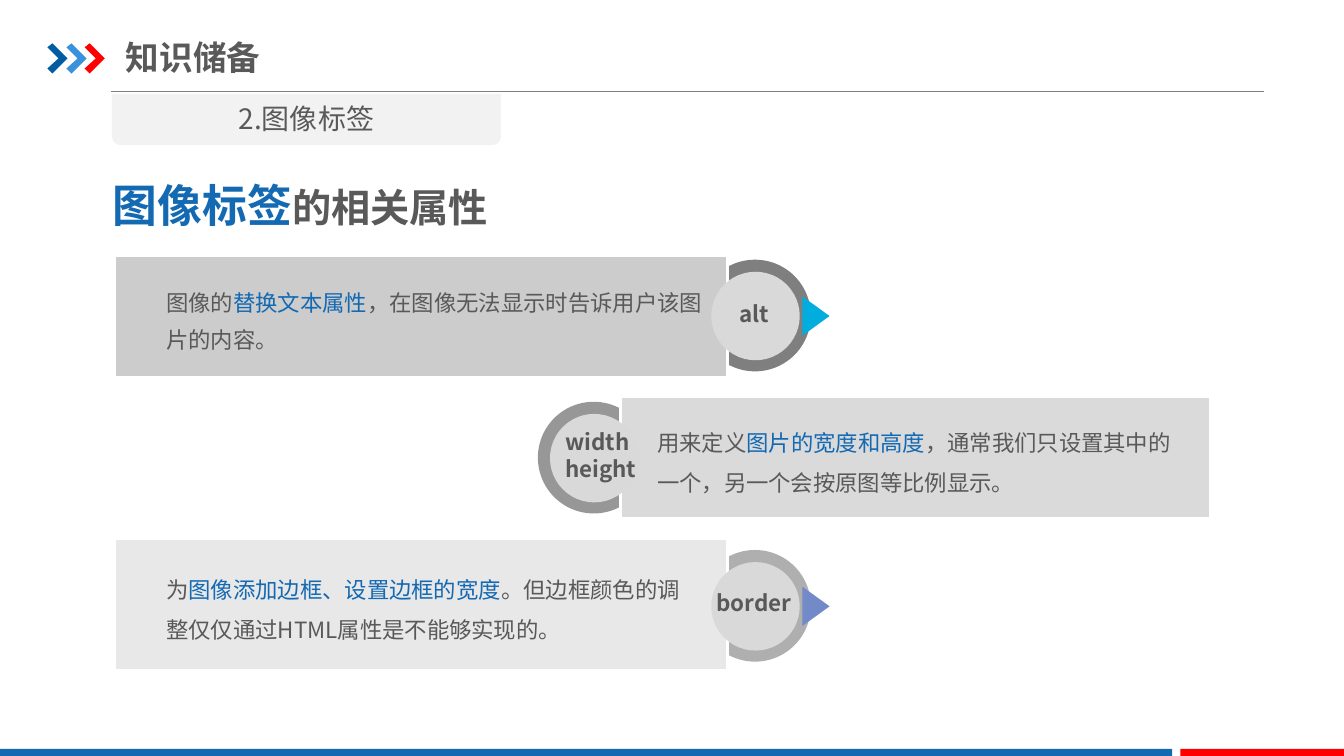
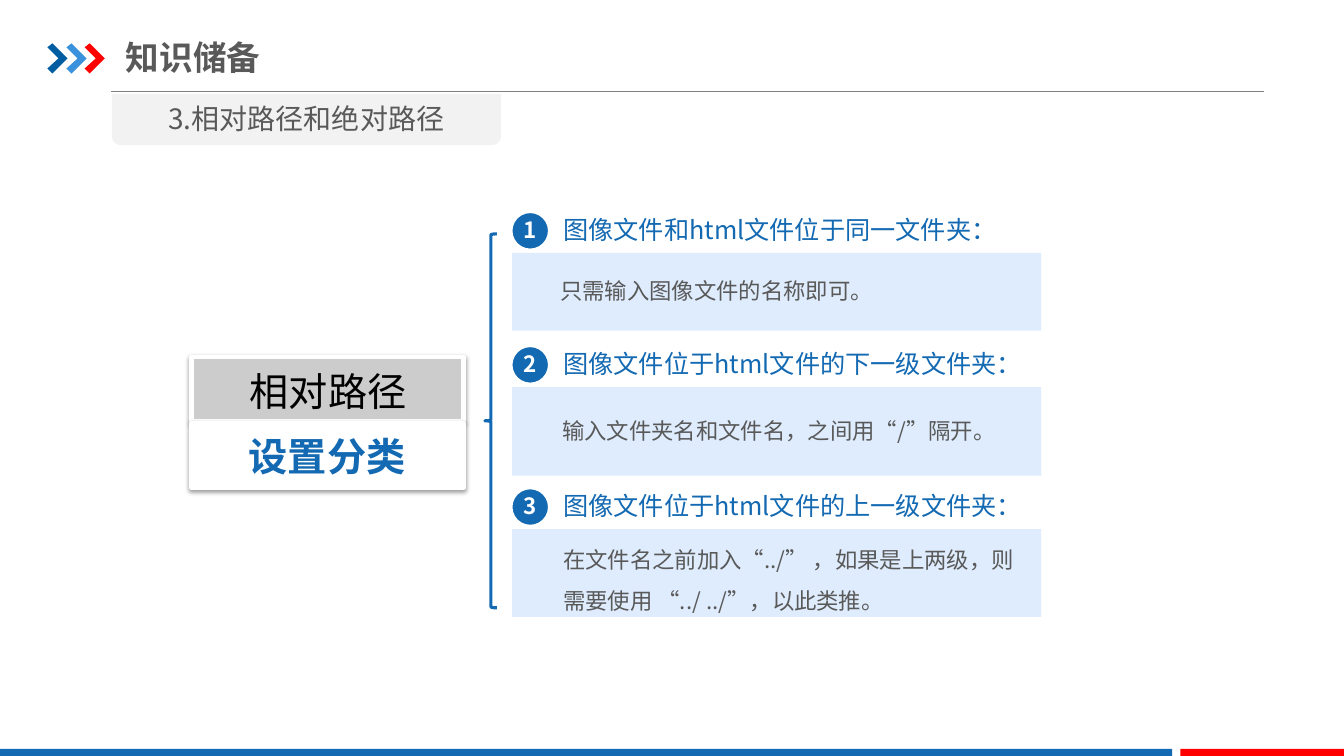
import lxml.etree
import pptx
import pptx.dml.color
import pptx.enum.shapes
import pptx.enum.text
import pptx.oxml.ns
import pptx.util

PX = 9144
FONT = "Noto Sans CJK SC"
COLORS = {
    "blue": "1369B2", "navy": "005DA2", "sky": "3992DB", "red": "FF0000",
    "text": "595959", "black": "000000", "white": "FFFFFF", "rule": "808080",
    "tab": "F2F2F2", "disc": "D9D9D9", "pale": "DBEBFD", "label": "CCCCCC",
    "alt_ring": "7F7F7F", "alt_panel": "CCCCCC", "alt_arrow": "00ADDC",
    "size_ring": "979797", "size_panel": "DADADA",
    "border_ring": "AFAFAF", "border_panel": "E8E8E8", "border_arrow": "738AC8",
}
RGB = {name: pptx.dml.color.RGBColor.from_string(code) for name, code in COLORS.items()}
SHAPE = pptx.enum.shapes.MSO_SHAPE
ALIGN = pptx.enum.text.PP_ALIGN
ANCHOR = pptx.enum.text.MSO_ANCHOR
qn = pptx.oxml.ns.qn


def add_shape(slide, kind, box, fill=None, line=None, width=2, alpha=None):
    shape = slide.shapes.add_shape(kind, *[value * PX for value in box])
    shape.shadow.inherit = False
    if fill:
        shape.fill.solid()
        shape.fill.fore_color.rgb = RGB[fill]
    else:
        shape.fill.background()
    if line:
        shape.line.color.rgb = RGB[line]
        shape.line.width = pptx.util.Pt(width)
    else:
        shape.line.fill.background()
    if alpha:
        for color in shape._element.spPr.iter(qn("a:srgbClr")):
            lxml.etree.SubElement(color, qn("a:alpha"), val=str(alpha * 1000))
    return shape


def write(shape, paragraphs, size, align=ALIGN.LEFT, spacing=None, wrap=True, bold=False):
    frame = shape.text_frame
    frame.word_wrap = wrap
    for index, runs in enumerate(paragraphs):
        paragraph = frame.add_paragraph() if index else frame.paragraphs[0]
        paragraph.alignment = align
        if spacing:
            paragraph.line_spacing = spacing
        for text, color in runs:
            run = paragraph.add_run()
            run.text = text
            run.font.name = FONT
            run.font.size = pptx.util.Pt(size)
            run.font.bold = bold
            run.font.color.rgb = RGB[color]
            lxml.etree.SubElement(run._r.get_or_add_rPr(), qn("a:ea"), typeface=FONT)
    return frame


presentation = pptx.Presentation()
presentation.slide_width = pptx.util.Emu(12192000)
presentation.slide_height = pptx.util.Emu(750 * PX)

slides = []
for heading in ("2.图像标签", "3.相对路径和绝对路径"):
    slide = presentation.slides.add_slide(presentation.slide_layouts[6])
    slides.append(slide)
    rule = slide.shapes.add_connector(
        pptx.enum.shapes.MSO_CONNECTOR.STRAIGHT, 110 * PX, 91 * PX, 1254 * PX, 91 * PX)
    rule.line.color.rgb = RGB["rule"]
    rule.line.width = pptx.util.Pt(0.75)
    lxml.etree.SubElement(rule._element.spPr, qn("a:effectLst"))
    for left, color in ((47, "navy"), (66, "sky"), (84, "red")):
        builder = slide.shapes.build_freeform(left, 47, scale=PX)
        builder.add_line_segments(
            [(left + x, y) for x, y in ((5, 43), (20, 58), (5, 73), (0, 68), (11, 58))])
        chevron = builder.convert_to_shape()
        chevron.shadow.inherit = False
        chevron.fill.solid()
        chevron.fill.fore_color.rgb = RGB[color]
        chevron.line.fill.background()
    add_shape(slide, SHAPE.RECTANGLE, (0, 743, 1163, 9), "blue")
    add_shape(slide, SHAPE.RECTANGLE, (1171, 743, 163, 9), "red")
    title = slide.shapes.add_textbox(125 * PX, 29 * PX, 426 * PX, 55 * PX)
    frame = write(title, [[("知识储备", "text")]], 24, bold=True)
    frame.vertical_anchor = ANCHOR.MIDDLE
    frame.margin_left = frame.margin_right = 0
    tab = add_shape(slide, SHAPE.ROUND_2_SAME_RECTANGLE, (111, 93, 386, 51), "tab")
    tab.rotation = 180
    subtitle = slide.shapes.add_textbox(111 * PX, 96 * PX, 386 * PX, 44 * PX)
    write(subtitle, [[(heading, "text")]], 20, ALIGN.CENTER)

slide = slides[0]
topic = slide.shapes.add_textbox(102 * PX, 171 * PX, 396 * PX, 64 * PX)
frame = write(topic, [[("图像标签", "blue"), ("的相关属性", "text")]], 32, wrap=False, bold=True)
frame.paragraphs[0].runs[1].font.size = pptx.util.Pt(28)

cards = [
    ("alt", (695, 259), (114, 254, 608, 120), ["alt"], (724, 293, 70, 37),
     (155, 273, 562, 83), 1.35,
     ("图像的", "替换文本属性", "，在图像无法显示时告诉用户该图片的内容。")),
    ("size", (535, 400), (616, 393, 585, 121), ["width", "height"], (551, 420, 100, 64),
     (642, 407, 545, 91), 1.5,
     ("用来定义", "图片的宽度和高度", "，通常我们只设置其中的一个，另一个会按原图等比例显示。")),
    ("border", (695, 547), (114, 534, 608, 131), ["border"], (701, 580, 104, 37),
     (155, 553, 538, 91), 1.5,
     ("为", "图像添加边框、设置边框的宽度", "。但边框颜色的调整仅仅通过HTML属性是不能够实现的。")),
]
for name, (left, top), panel, labels, label_box, body_box, spacing, parts in cards:
    ring = add_shape(slide, SHAPE.DONUT, (left, top, 108, 108), name + "_ring", name + "_ring")
    ring.adjustments[0] = 0.11
    add_shape(slide, SHAPE.RECTANGLE, panel, name + "_panel", "white")
    add_shape(slide, SHAPE.OVAL, (left + 12, top + 12, 85, 85), "disc", "disc")
    label = slide.shapes.add_textbox(*[value * PX for value in label_box])
    write(label, [[(text, "text")] for text in labels], 16, wrap=False, bold=True)
    body = slide.shapes.add_textbox(*[value * PX for value in body_box])
    write(body, [list(zip(parts, ("text", "blue", "text")))], 16, spacing=spacing)
    if name + "_arrow" in COLORS:
        arrow = add_shape(slide, SHAPE.ISOSCELES_TRIANGLE, (left + 95, top + 41, 39, 27),
                          name + "_arrow")
        arrow.rotation = 90

slide = slides[1]
plates = [
    (354, "label", (191, 359, 269, 57), "相对路径", "black", False),
    (420, "white", (190, 424, 269, 57), "设置分类", "blue", True),
]
for top, fill, box, text, color, bold in plates:
    plate = add_shape(slide, SHAPE.RECTANGLE, (190, top, 270, 64), fill, "white", 3)
    effects = plate._element.spPr.find(qn("a:effectLst"))
    shadow = lxml.etree.SubElement(effects, qn("a:outerShdw"), blurRad="40000", dist="20000",
                                   dir="5400000", rotWithShape="0")
    shade = lxml.etree.SubElement(shadow, qn("a:srgbClr"), val=COLORS["black"])
    lxml.etree.SubElement(shade, qn("a:alpha"), val="38000")
    caption = slide.shapes.add_textbox(*[value * PX for value in box])
    write(caption, [[(text, color)]], 28, ALIGN.CENTER, bold=bold)

brace = add_shape(slide, SHAPE.LEFT_BRACE, (481, 232, 12, 371), None, "blue", 2.25)
brace.adjustments[0] = 0.08

steps = [
    (208, 454, "图像文件和html文件位于同一文件夹：", 77,
     (546, 270, 519, 37), None, "只需输入图像文件的名称即可。"),
    (341, 479, "图像文件位于html文件的下一级文件夹：", 88,
     (548, 409, 503, 37), None, "输入文件夹名和文件名，之间用“/”隔开。"),
    (482, 479, "图像文件位于html文件的上一级文件夹：", 87,
     (549, 524, 470, 91), 1.5,
     "在文件名之前加入“../” ，如果是上两级，则需要使用 “../ ../”，以此类推。"),
]
for number, (top, width, heading, height, body_box, spacing, text) in enumerate(steps, 1):
    badge = add_shape(slide, SHAPE.OVAL, (507, top + 2, 38, 38), "blue", "white")
    frame = write(badge, [[(str(number), "white")]], 16, ALIGN.CENTER, 0.9, False, True)
    frame.vertical_anchor = ANCHOR.MIDDLE
    frame.margin_left = frame.margin_right = frame.margin_top = frame.margin_bottom = 0
    caption = slide.shapes.add_textbox(549 * PX, top * PX, width * PX, 40 * PX)
    write(caption, [[(heading, "blue")]], 18, wrap=False)
    add_shape(slide, SHAPE.RECTANGLE, (508, top + 43, 525, height), "pale", alpha=90)
    body = slide.shapes.add_textbox(*[value * PX for value in body_box])
    write(body, [[(text, "text")]], 16, spacing=spacing)

presentation.save("out.pptx")
